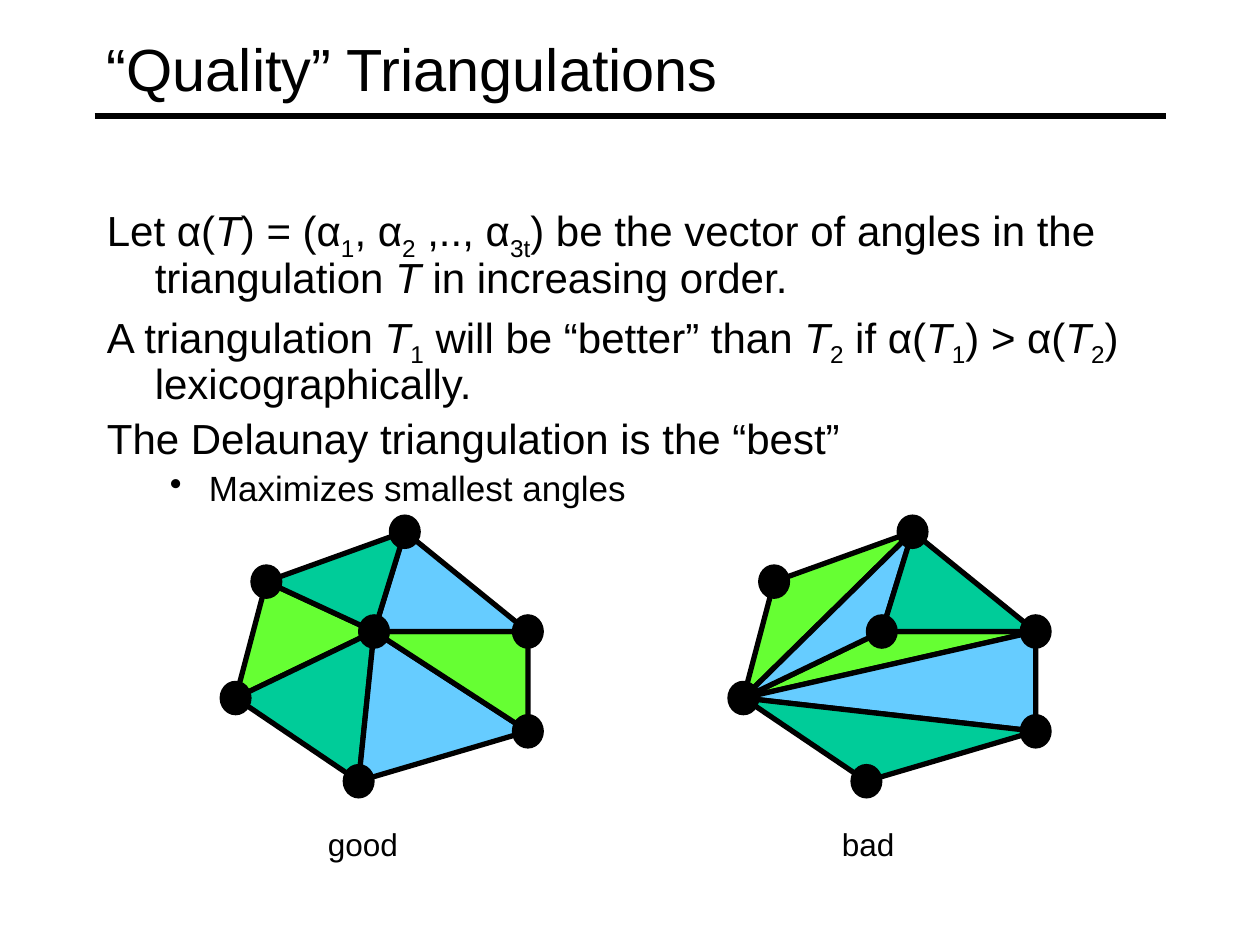
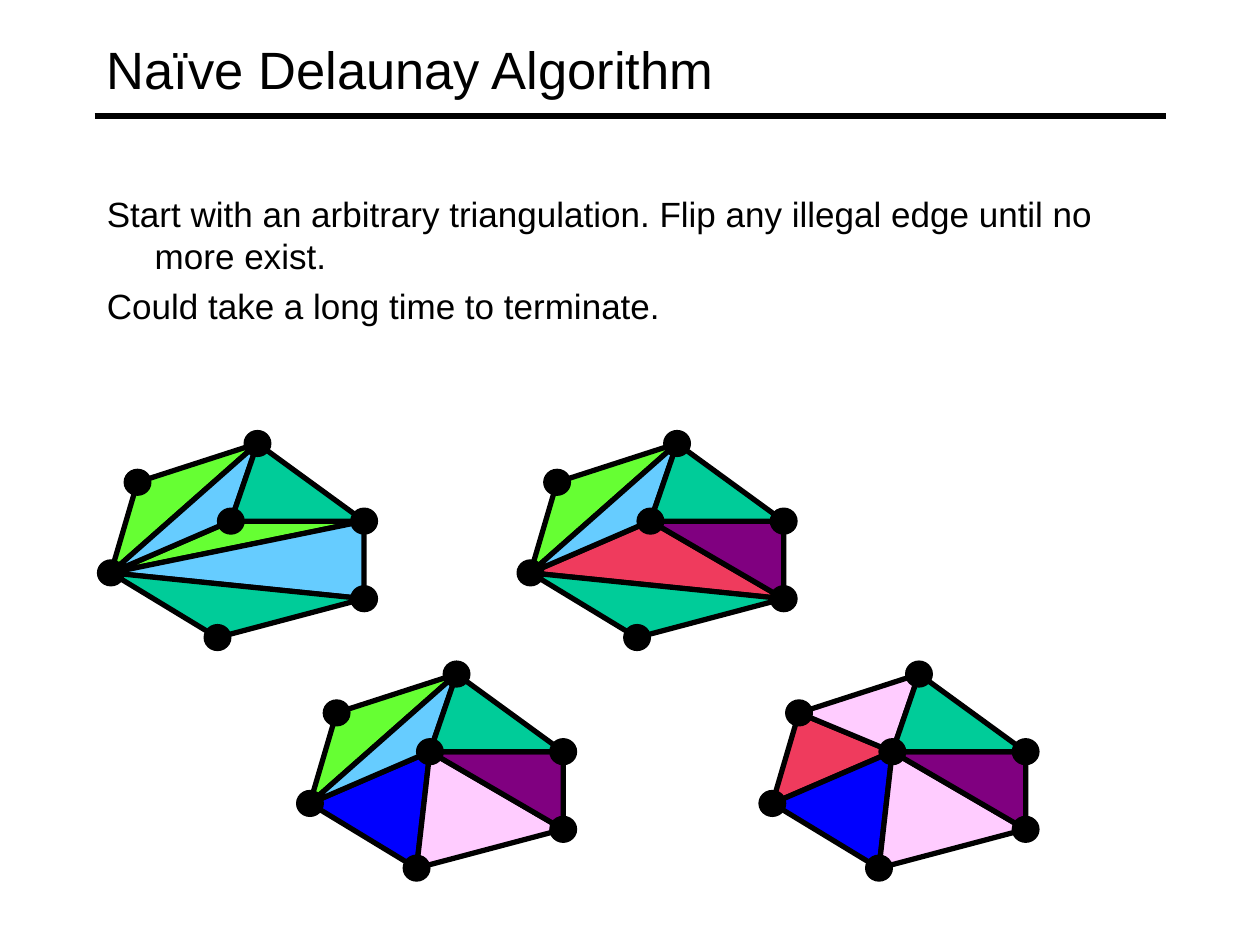
from dataclasses import dataclass

from lxml.etree import SubElement
from pptx import Presentation
from pptx.dml.color import RGBColor
from pptx.enum.shapes import MSO_CONNECTOR, MSO_SHAPE
from pptx.enum.text import MSO_ANCHOR, PP_ALIGN
from pptx.oxml.ns import qn
from pptx.util import Inches, Pt


@dataclass(frozen=True)
class Theme:
    font: str = "Arial"
    ink: str = "000000"
    lime: str = "66FF33"
    teal: str = "00CC99"
    sky: str = "66CCFF"
    red: str = "EF3B5D"
    plum: str = "800080"
    blue: str = "0000FF"
    pink: str = "FFCCFF"
    title: int = 34
    small: int = 30
    body: int = 24
    sub: int = 20
    label: int = 18
    edge: int = 3
    rim: float = 0.75


T = Theme()

COLS, ROWS = 19, 15
POINTS = {"n": (11, 0), "m": (9, 6), "l": (2, 3), "e": (19, 6),
          "w": (0, 10), "s": (8, 15), "r": (19, 12)}

GOOD = {"lmw": T.lime, "wms": T.teal, "smr": T.sky,
        "rme": T.lime, "emn": T.sky, "nml": T.teal}
BAD = {"wme": T.lime, "wre": T.sky, "wrs": T.teal,
       "wln": T.lime, "wnm": T.sky, "nme": T.teal}


def flip(faces, old, new):
    return new | {key: hue for key, hue in faces.items() if key not in old}


def style(shape, fill, width):
    shape.shadow.inherit = False
    shape.fill.solid()
    shape.fill.fore_color.rgb = RGBColor.from_string(fill)
    shape.line.color.rgb = RGBColor.from_string(T.ink)
    shape.line.width = Pt(width)


def indent(para, left, hang, bullet):
    props = para._p.get_or_add_pPr()
    props.set("marL", str(Inches(left)))
    props.set("indent", str(Inches(-hang)))
    if bullet:
        SubElement(props, qn("a:buChar"), char=bullet)
    else:
        SubElement(props, qn("a:buNone"))


def write(frame, text, size=T.body, align=PP_ALIGN.LEFT, left=0, hang=0,
          bullet=None, lines=1.0, before=0, first=True):
    para = frame.paragraphs[0] if first else frame.add_paragraph()
    indent(para, left, hang, bullet)
    para.alignment = align
    para.line_spacing = lines
    para.space_before = Pt(0 if first else before)
    para.font.size = Pt(size)
    for part in text.split("|"):
        mark = part[0] if part[0] in "/_" else ""
        run = para.add_run()
        run.text = part[len(mark):]
        font = run.font
        font.name = T.font
        font.size = Pt(size)
        font.color.rgb = RGBColor.from_string(T.ink)
        font.italic = mark == "/"
        if mark == "_":
            font._element.set("baseline", "-25000")


def box(slide, x, y, w, h, wrap=True, anchor=MSO_ANCHOR.TOP):
    frame = slide.shapes.add_textbox(
        Inches(x), Inches(y), Inches(w), Inches(h)).text_frame
    frame.word_wrap = wrap
    frame.vertical_anchor = anchor
    return frame


def page(deck, title, size):
    slide = deck.slides.add_slide(deck.slide_layouts[6])
    rule = slide.shapes.add_connector(
        MSO_CONNECTOR.STRAIGHT, Inches(0.75), Inches(0.92),
        Inches(9.25), Inches(0.92))
    rule.line.color.rgb = RGBColor.from_string(T.ink)
    rule.line.width = Pt(T.edge)
    SubElement(rule._element.spPr, qn("a:effectLst"))
    write(box(slide, 0.75, 0.08, 8.5, 0.92, anchor=MSO_ANCHOR.MIDDLE),
          title, size=size)
    return slide


def mesh(slide, x, y, w, h, faces):
    dx, dy = w / COLS, h / ROWS
    spots = {key: (x + col * dx, y + row * dy)
             for key, (col, row) in POINTS.items()}
    for face, hue in faces.items():
        start, *rest = [(Inches(a), Inches(b))
                        for a, b in (spots[key] for key in face)]
        path = slide.shapes.build_freeform(*start)
        path.add_line_segments(rest, close=True)
        style(path.convert_to_shape(), hue, T.edge)
    for a, b in spots.values():
        dot = slide.shapes.add_shape(
            MSO_SHAPE.OVAL, Inches(a - dx), Inches(b - dy),
            Inches(2 * dx), Inches(2 * dy))
        style(dot, T.ink, T.rim)


def label(slide, x, w, text):
    write(box(slide, x, 6.5, w, 0.4, wrap=False), text,
          size=T.label, align=PP_ALIGN.CENTER)


def rank(deck):
    slide = page(deck, "“Quality” Triangulations", T.title)
    frame = box(slide, 0.75, 1.58, 8.58, 2.5)
    points = [
        "Let α(|/T|) = (α|_1|, α|_2| ,.., α|_3t|) be the vector of angles "
        "in the triangulation |/T |in increasing order.",
        "A triangulation |/T|_1| will be “better” than |/T|_2| if α(|/T|_1|"
        ") > α(|/T|_2|) lexicographically.",
        "The Delaunay triangulation is the “best”",
    ]
    for i, text in enumerate(points):
        write(frame, text, left=0.38, hang=0.38, lines=0.9,
              before=5.5, first=i == 0)
    write(frame, "Maximizes smallest angles", size=T.sub, left=0.81,
          hang=0.31, bullet="•", lines=0.9, before=4.6, first=False)
    mesh(slide, 1.87, 4.22, 2.32, 1.98, GOOD)
    mesh(slide, 5.9, 4.22, 2.32, 1.98, BAD)
    label(slide, 2.5, 0.76, "good")
    label(slide, 6.58, 0.62, "bad")


def steps(deck):
    slide = page(deck, "Naïve Delaunay Algorithm", T.small)
    frame = box(slide, 0.75, 1.48, 8.5, 1.97)
    points = [
        "Start with an arbitrary triangulation. Flip any illegal edge "
        "until no more exist.",
        "Could take a long time to terminate.",
    ]
    for i, text in enumerate(points):
        write(frame, text, size=T.sub, left=0.38, hang=0.38,
              before=4.6, first=i == 0)
    second = flip(BAD, ("wme", "wre"), {"wmr": T.red, "mer": T.plum})
    third = flip(second, ("wmr", "wrs"), {"wms": T.blue, "smr": T.pink})
    fourth = flip(third, ("wln", "wnm"), {"wlm": T.red, "lnm": T.pink})
    spots = [(0.88, 3.52), (4.21, 3.52), (2.46, 5.35), (6.13, 5.35)]
    for (x, y), faces in zip(spots, (BAD, second, third, fourth)):
        mesh(slide, x, y, 2.01, 1.54, faces)


def main():
    deck = Presentation()
    deck.slide_width, deck.slide_height = Inches(10), Inches(7.5)
    rank(deck)
    steps(deck)
    deck.save("out.pptx")


if __name__ == "__main__":
    main()
